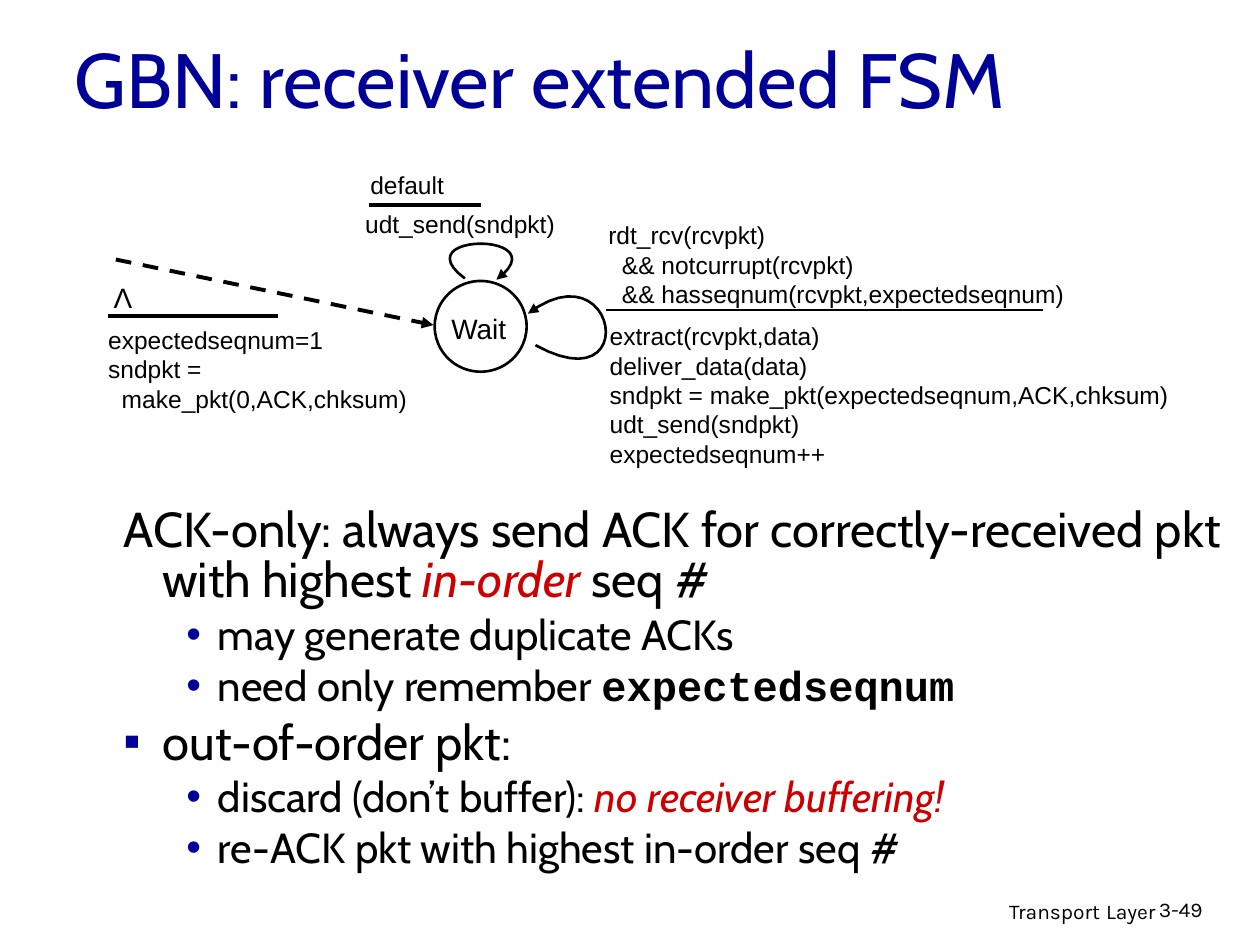
from lxml import etree
from pptx import Presentation
from pptx.dml.color import RGBColor
from pptx.enum import dml, shapes, text
from pptx.oxml.ns import qn
from pptx.util import Inches, Pt

BLACK = RGBColor(0x00, 0x00, 0x00)
WHITE = RGBColor(0xFF, 0xFF, 0xFF)
NAVY = RGBColor(0x00, 0x00, 0x99)
RED = RGBColor(0xCC, 0x00, 0x00)

CURVE_STEPS = 24


def add_run(paragraph, content, size, font, color=BLACK, bold=False, italic=False):
    run = paragraph.add_run()
    run.text = content
    run.font.size = Pt(size)
    run.font.name = font
    run.font.bold = bold
    run.font.italic = italic
    run.font.color.rgb = color


def add_label(slide, box, lines, size=14, font="Arial", align=text.PP_ALIGN.LEFT):
    frame = slide.shapes.add_textbox(*map(Inches, box)).text_frame
    frame.word_wrap = True
    for index, line in enumerate(lines):
        paragraph = frame.add_paragraph() if index else frame.paragraphs[0]
        paragraph.alignment = align
        add_run(paragraph, line, size, font)
    return frame


def style_line(shape, width, arrow=False):
    shape.line.color.rgb = BLACK
    shape.line.width = Pt(width)
    if arrow:
        etree.SubElement(shape.line._get_or_add_ln(), qn("a:tailEnd"), type="triangle")


def add_line(slide, start, end, width):
    line = slide.shapes.add_connector(
        shapes.MSO_CONNECTOR.STRAIGHT, *map(Inches, (*start, *end)))
    style_line(line, width)
    etree.SubElement(line._element.spPr, qn("a:effectLst"))
    return line


def add_curved_arrow(slide, controls):
    """Draw a cubic Bezier curve, given its four control points in inches."""
    points = []
    for step in range(CURVE_STEPS + 1):
        t = step / CURVE_STEPS
        weights = ((1 - t) ** 3, 3 * t * (1 - t) ** 2, 3 * t ** 2 * (1 - t), t ** 3)
        points.append(tuple(
            Inches(sum(w * point[axis] for w, point in zip(weights, controls)))
            for axis in (0, 1)))
    builder = slide.shapes.build_freeform(*points[0])
    builder.add_line_segments(points[1:], close=False)
    curve = builder.convert_to_shape()
    curve.shadow.inherit = False
    curve.fill.background()
    style_line(curve, 1.5, arrow=True)


def place(placeholder, box):
    placeholder.left, placeholder.top, placeholder.width, placeholder.height = map(Inches, box)
    placeholder.text_frame.auto_size = text.MSO_AUTO_SIZE.NONE
    placeholder.text_frame.word_wrap = True
    return placeholder.text_frame


def fill_title(slide, box, content):
    frame = place(slide.shapes.title, box)
    frame.vertical_anchor = text.MSO_ANCHOR.MIDDLE
    paragraph = frame.paragraphs[0]
    paragraph.alignment = text.PP_ALIGN.LEFT
    add_run(paragraph, content, 44, "Cabin", NAVY)


def set_bullet(paragraph, level, bullet):
    paragraph.level = level
    margin, hanging = ((0.31, 0.31), (0.75, 0.25))[level]
    properties = paragraph._p.get_or_add_pPr()
    properties.set("marL", str(Inches(margin)))
    properties.set("indent", str(-Inches(hanging)))
    if bullet:
        color = etree.SubElement(properties, qn("a:buClr"))
        etree.SubElement(color, qn("a:srgbClr"), val=str(NAVY))
        etree.SubElement(properties, qn("a:buFont"), typeface="Arial")
        etree.SubElement(properties, qn("a:buChar"), char=bullet)
    else:
        etree.SubElement(properties, qn("a:buNone"))


def fill_body(slide, box):
    emphasis = {"color": RED, "italic": True}
    code = {"font": "Courier New", "bold": True}
    items = [
        (0, None, [("ACK-only: always send ACK for correctly-received pkt with highest ", {}),
                   ("in-order", emphasis), (" seq #", {})]),
        (1, "•", [("may generate duplicate ACKs", {})]),
        (1, "•", [("need only remember ", {}), ("expectedseqnum", code)]),
        (0, "▪", [("out-of-order pkt:", {})]),
        (1, "•", [("discard (don’t buffer): ", {}), ("no receiver buffering!", emphasis)]),
        (1, "•", [("re-ACK pkt with highest in-order seq #", {})]),
    ]
    frame = place(slide.placeholders[1], box)
    for index, (level, bullet, runs) in enumerate(items):
        paragraph = frame.add_paragraph() if index else frame.paragraphs[0]
        set_bullet(paragraph, level, bullet)
        paragraph.line_spacing = 0.85
        if index == 0:
            paragraph.space_before = Pt(0)
        for content, style in runs:
            add_run(paragraph, content, **{"size": (28, 24)[level], "font": "Cabin", **style})


def draw_state_machine(slide, left, top):
    def at(x, y, *size):
        return (left + x, top + y, *size)

    center = text.PP_ALIGN.CENTER

    state = slide.shapes.add_shape(
        shapes.MSO_SHAPE.OVAL, *map(Inches, at(2.65, 0.93, 0.73, 0.72)))
    state.shadow.inherit = False
    state.fill.solid()
    state.fill.fore_color.rgb = WHITE
    style_line(state, 1.5)
    add_label(slide, at(2.56, 1.12, 0.88, 0.26), ["Wait"], size=16, align=center)

    # Initial transition
    entry = add_line(slide, at(0.12, 0.76), at(2.64, 1.28), 2.25)
    entry.line.dash_style = dml.MSO_LINE.DASH
    style_line(entry, 2.25, arrow=True)
    add_label(slide, at(0, 0.88, 0.35, 0.37), ["Λ"], size=16, align=center).word_wrap = False
    add_line(slide, at(0.06, 1.21), at(1.41, 1.21), 2.25)
    add_label(slide, at(-0.04, 1.23, 3.98, 1.07),
              ["expectedseqnum=1", "sndpkt =", "  make_pkt(0,ACK,chksum)"])

    # Default transition
    add_label(slide, at(2.04, 0, 0.79, 0.27), ["default"])
    add_line(slide, at(2.13, 0.33), at(3.02, 0.33), 2.25)
    add_label(slide, at(2, 0.31, 1.77, 0.34), ["udt_send(sndpkt)"])
    add_curved_arrow(slide, [at(2.89, 0.91), at(2.39, 0.54), at(3.65, 0.54), at(3.14, 0.92)])

    # Expected packet received
    add_label(slide, at(3.93, 0.4, 3.9, 0.62),
              ["rdt_rcv(rcvpkt)", "  && notcurrupt(rcvpkt)",
               "  && hasseqnum(rcvpkt,expectedseqnum)"])
    add_line(slide, at(4.01, 1.16), at(7.48, 1.16), 1.5)
    add_label(slide, at(3.94, 1.2, 4.72, 0.94),
              ["extract(rcvpkt,data)", "deliver_data(data)",
               "sndpkt = make_pkt(expectedseqnum,ACK,chksum)",
               "udt_send(sndpkt)", "expectedseqnum++"])
    add_curved_arrow(slide, [at(3.45, 1.44), at(4.3, 1.91), at(4.1, 0.65), at(3.39, 1.19)])


def draw_footer(slide, left, top):
    frame = slide.shapes.add_textbox(*map(Inches, (left, top, 3.17, 0.31))).text_frame
    frame.word_wrap = True
    paragraph = frame.paragraphs[0]
    paragraph.alignment = text.PP_ALIGN.RIGHT
    for content, size in (("Transport", 12), (" ", 14), ("Layer", 12)):
        add_run(paragraph, content, size, "Karla")
    add_label(slide, (left + 3, top + 0.02, 0.74, 0.3), ["3-49"], size=12, font="Karla")


def main():
    presentation = Presentation()
    presentation.slide_width = Inches(10)
    presentation.slide_height = Inches(7.5)
    slide = presentation.slides.add_slide(presentation.slide_layouts[1])
    fill_title(slide, (0.49, 0.23, 8.5, 0.77), "GBN: receiver extended FSM")
    draw_state_machine(slide, 0.8, 1.3)
    fill_body(slide, (0.88, 3.98, 8.91, 3.12))
    draw_footer(slide, 6.1, 7.05)
    presentation.save("out.pptx")


if __name__ == "__main__":
    main()
